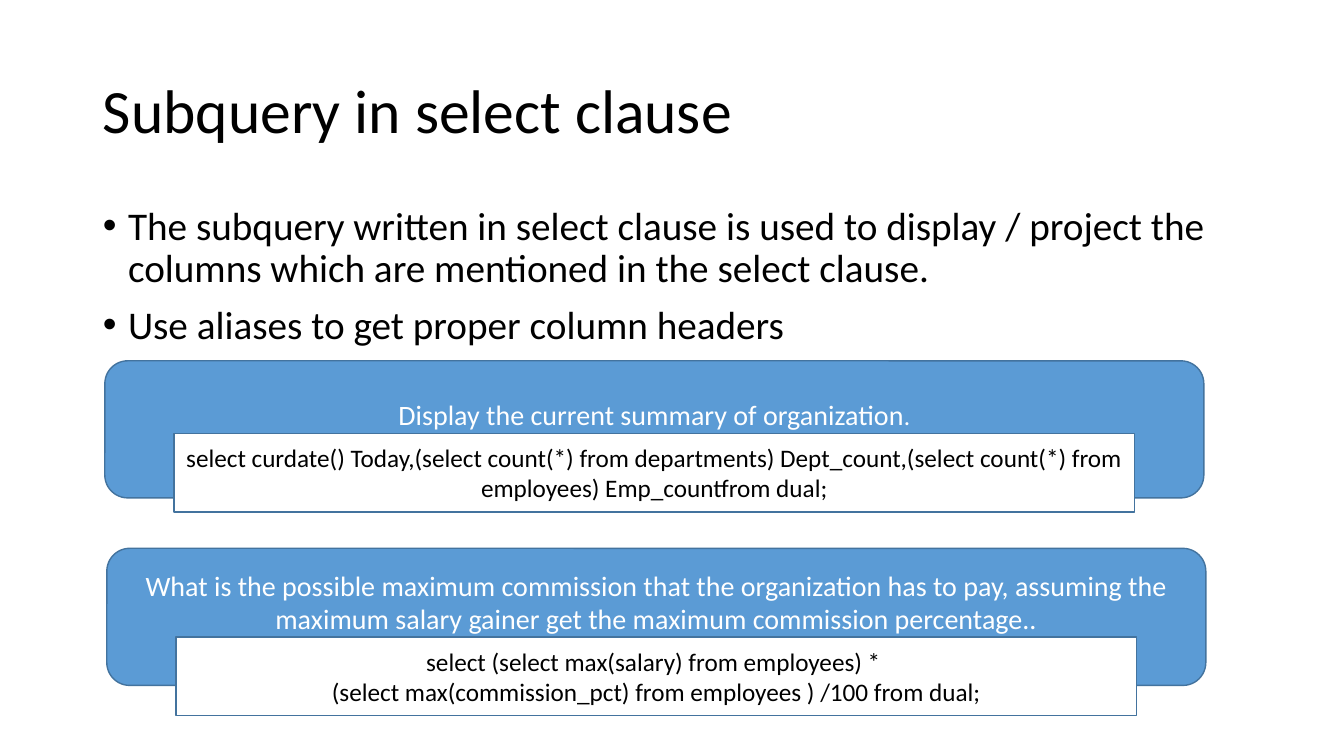
from pptx import Presentation
from pptx.util import Inches, Pt
from pptx.dml.color import RGBColor
from pptx.enum.shapes import MSO_SHAPE
from pptx.enum.text import PP_ALIGN, MSO_ANCHOR, MSO_AUTO_SIZE
from pptx.oxml import parse_xml
from pptx.oxml.ns import nsdecls

ROUND, RECT = MSO_SHAPE.ROUNDED_RECTANGLE, MSO_SHAPE.RECTANGLE
LEFT, CENTER = PP_ALIGN.LEFT, PP_ALIGN.CENTER
TOP, MIDDLE = MSO_ANCHOR.TOP, MSO_ANCHOR.MIDDLE

# Content: each paragraph is a list of (text, size) runs
TITLE = [[("Subquery in select clause", 44)]]
POINTS = [
    [("The subquery written in select clause is used to display / project the "
      "columns which are mentioned in the select clause.", 28)],
    [("Use aliases to get proper column headers", 28)],
]
TASKS = [
    {"left": 1.04, "top": 3.58, "drop": 0.72,
     "ask": [[("Display the current summary of organization", 20), (".", 18)]],
     "code": [[("select curdate() Today,(select count(*) from departments) Dept_count,"
                "(select count(*) from employees) Emp_countfrom dual;", 18)]]},
    {"left": 1.06, "top": 5.44, "drop": 0.88,
     "ask": [[("What is the possible maximum commission that the organization has to "
               "pay, assuming the maximum salary gainer get the maximum commission "
               "percentage..", 20)]],
     "code": [[("select (select max(salary) from employees) * ", 18)],
              [("(select max(commission_pct) from employees ) /100 from dual;", 18)]]},
]

# Format
COLORS = {"black": "000000", "white": "FFFFFF", "blue": "5B9BD5", "edge": "43739E"}
FONT = "Calibri"
WIDE, HIGH = 13.33, 7.5
MARGIN, SPAN = 0.92, 11.5
CARD = (10.9, 1.36)
CODE = (9.53, 0.78)
INSET = (CARD[0] - CODE[0]) / 2
LIFT = 0.35  # bottom inset that raises the question above the code


def rgb(name):
    return RGBColor.from_string(COLORS[name])


def place(shape, *box):
    for key, size in zip(("left", "top", "width", "height"), box):
        setattr(shape, key, Inches(size))


def write(shape, paras, color, align, anchor, bullet=False, low=0.05, **form):
    frame = shape.text_frame
    look = {"word_wrap": True, "auto_size": MSO_AUTO_SIZE.NONE,
            "vertical_anchor": anchor, "margin_bottom": Inches(low)}
    for key, value in look.items():
        setattr(frame, key, value)
    for i, runs in enumerate(paras):
        para = frame.add_paragraph() if i else frame.paragraphs[0]
        if bullet:
            props = para._p.get_or_add_pPr()
            props.set("marL", str(Inches(0.25)))
            props.set("indent", str(-Inches(0.25)))
            for tag in ('buFont %s typeface="Arial"', 'buChar %s char="•"'):
                props.append(parse_xml("<a:" + tag % nsdecls("a") + "/>"))
        para.alignment = align
        for key, value in form.items():
            setattr(para, key, value)
        if i == 0:
            para.space_before = Pt(0)
        for text, size in runs:
            run = para.add_run()
            run.text = text
            for key, value in {"name": FONT, "size": Pt(size)}.items():
                setattr(run.font, key, value)
            run.font.color.rgb = rgb(color)


def panel(kind, box, fill, paras, color, low=0.05):
    shape = slide.shapes.add_shape(kind, *map(Inches, box))
    shape.shadow.inherit = False
    shape.fill.solid()
    shape.fill.fore_color.rgb = rgb(fill)
    shape.line.color.rgb = rgb("edge")
    shape.line.width = Pt(1)
    write(shape, paras, color, CENTER, MIDDLE, low=low)


deck = Presentation()
deck.slide_width, deck.slide_height = Inches(WIDE), Inches(HIGH)
slide = deck.slides.add_slide(deck.slide_layouts[1])

# Title and list
title, body = slide.placeholders
place(title, MARGIN, 0.4, SPAN, 1.45)
write(title, TITLE, "black", LEFT, MIDDLE, line_spacing=0.9)
place(body, MARGIN, 2, SPAN, 4.76)
write(body, POINTS, "black", LEFT, TOP, bullet=True,
      line_spacing=0.9, space_before=Pt(10))

# Questions with their queries
for task in TASKS:
    left, top = task["left"], task["top"]
    panel(ROUND, (left, top, *CARD), "blue", task["ask"], "white", LIFT)
    panel(RECT, (left + INSET, top + task["drop"], *CODE), "white", task["code"], "black")

deck.save("out.pptx")
